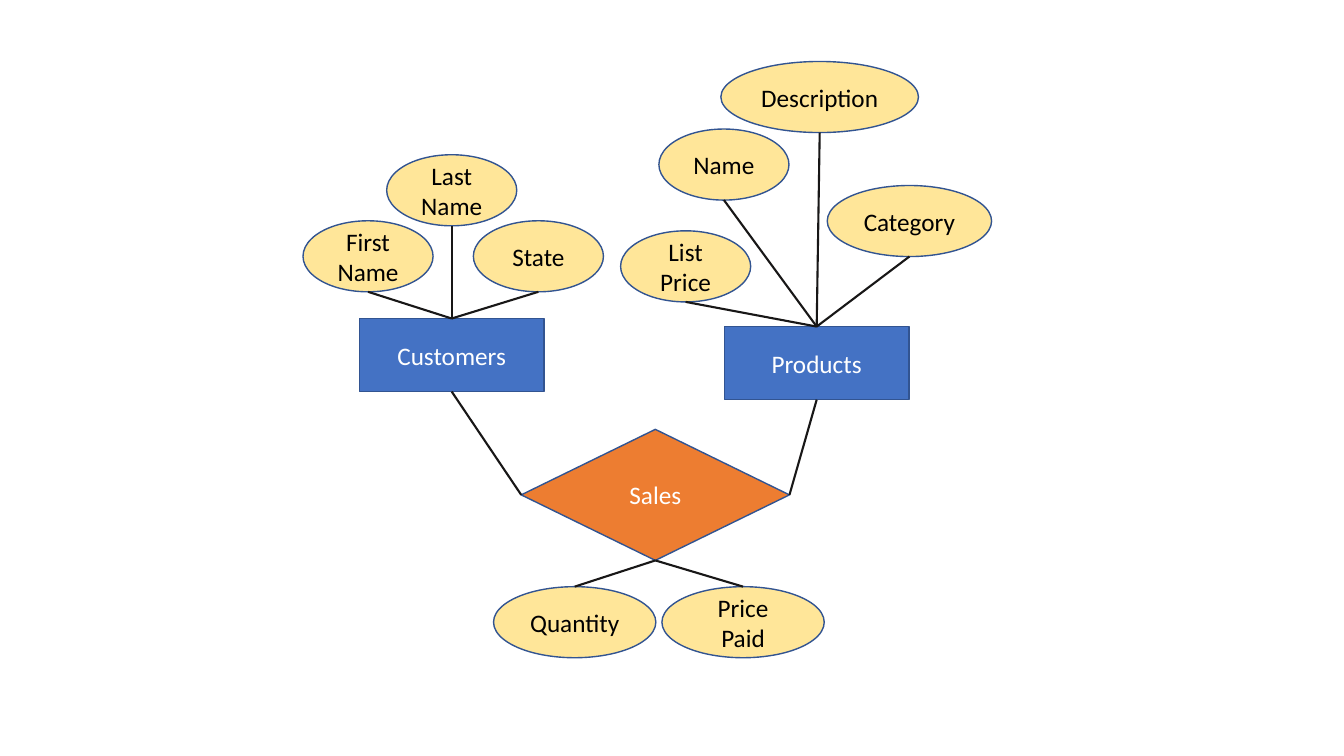
from lxml.etree import SubElement
from pptx import Presentation
from pptx.dml.color import RGBColor
from pptx.enum.shapes import MSO_CONNECTOR, MSO_SHAPE
from pptx.enum.text import MSO_ANCHOR, PP_ALIGN
from pptx.oxml.ns import qn
from pptx.util import Inches, Pt

COLORS = {
    "entity": "4472C4",
    "relationship": "ED7D31",
    "attribute": "FFE699",
    "outline": "325491",
    "link": "181717",
    "light text": "FFFFFF",
    "dark text": "000000",
}
KINDS = {
    "entity": (MSO_SHAPE.RECTANGLE, "light text"),
    "relationship": (MSO_SHAPE.DIAMOND, "light text"),
    "attribute": (MSO_SHAPE.OVAL, "dark text"),
}
TOP, LEFT, BOTTOM, RIGHT = range(4)
CELL = Inches(0.1)
ATTRIBUTE_ROWS = 7.05

presentation = Presentation()
presentation.slide_width = Inches(13.33)
presentation.slide_height = Inches(7.5)
slide = presentation.slides.add_slide(presentation.slide_layouts[6])


def add_node(text, kind, center, top, columns, rows):
    """Add a labelled shape, measured in grid cells and centred on a column."""
    preset, text_color = KINDS[kind]
    box = (center - columns / 2, top, columns, rows)
    shape = slide.shapes.add_shape(preset, *(round(cells * CELL) for cells in box))
    shape.shadow.inherit = False
    shape.fill.solid()
    shape.fill.fore_color.rgb = RGBColor.from_string(COLORS[kind])
    shape.line.color.rgb = RGBColor.from_string(COLORS["outline"])
    shape.line.width = Pt(1)
    frame = shape.text_frame
    frame.text = text
    frame.word_wrap = True
    frame.vertical_anchor = MSO_ANCHOR.MIDDLE
    for paragraph in frame.paragraphs:
        paragraph.alignment = PP_ALIGN.CENTER
        font = paragraph.runs[0].font
        for name, value in {"name": "Calibri", "size": Pt(18)}.items():
            setattr(font, name, value)
        font.color.rgb = RGBColor.from_string(COLORS[text_color])
    return shape


def add_link(shape, site, column, row):
    """Draw a line from a connection site of the shape to a grid point."""
    end = (round(column * CELL), round(row * CELL))
    connector = slide.shapes.add_connector(MSO_CONNECTOR.STRAIGHT, *end, *end)
    connector.begin_connect(shape, site)
    connector.line.color.rgb = RGBColor.from_string(COLORS["link"])
    connector.line.width = Pt(1.5)
    SubElement(connector._element.spPr, qn("a:effectLst"))


customers = add_node("Customers", "entity", 44.8, 31.6, 18.3, 7.25)
products = add_node("Products", "entity", 81, 32.4, 18.3, 7.25)
sales = add_node("Sales", "relationship", 65, 42.6, 26.6, 13)

# Relationship ends meet the bottom middle of each entity
add_link(sales, LEFT, 44.8, 38.85)
add_link(sales, RIGHT, 81, 39.65)

# Owner, side of the owner, then label, centre column, top row and columns
attribute_groups = [
    (customers, TOP, [
        ("First Name", 36.5, 21.9, 12.9),
        ("Last\nName", 44.8, 15.35, 12.9),
        ("State", 53.4, 21.9, 12.9),
    ]),
    (products, TOP, [
        ("List Price", 68, 22.9, 12.9),
        ("Name", 71.8, 12.8, 12.9),
        ("Category", 90.2, 18.4, 16.3),
        ("Description", 81.3, 6.1, 19.6),
    ]),
    (sales, BOTTOM, [
        ("Quantity", 57, 58.2, 16.1),
        ("Price Paid", 73.7, 58.2, 16.1),
    ]),
]
for owner, side, attributes in attribute_groups:
    for label, center, top, columns in attributes:
        add_node(label, "attribute", center, top, columns, ATTRIBUTE_ROWS)
        facing_row = top + ATTRIBUTE_ROWS if side == TOP else top
        add_link(owner, side, center, facing_row)

presentation.save("out.pptx")
